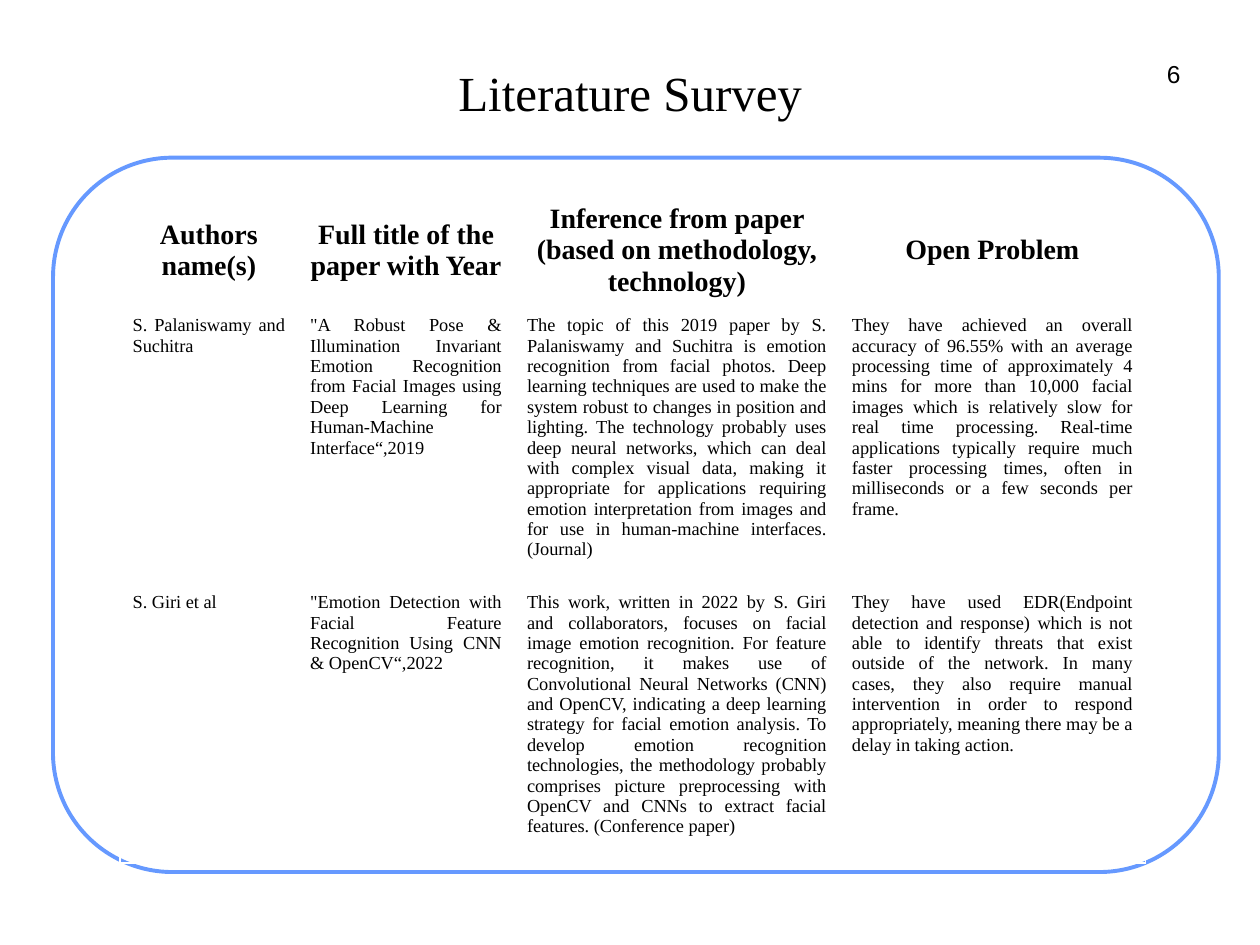
from dataclasses import dataclass

from pptx import Presentation
from pptx.dml.color import RGBColor
from pptx.enum.shapes import MSO_SHAPE
from pptx.enum.text import MSO_ANCHOR, MSO_AUTO_SIZE, PP_ALIGN
from pptx.util import Cm, Pt


@dataclass(frozen=True)
class Theme:
    serif: str = "Times New Roman"
    sans: str = "Arial"
    ink: RGBColor = RGBColor(0x00, 0x00, 0x00)
    paper: RGBColor = RGBColor(0xFF, 0xFF, 0xFF)
    frame: RGBColor = RGBColor(0x66, 0x99, 0xFF)
    title_size: float = 28
    heading_size: float = 16
    number_size: float = 14
    body_size: float = 10.5


@dataclass(frozen=True)
class Area:
    """Position and size in centimetres."""
    left: float
    top: float
    width: float
    height: float

    def lengths(self) -> tuple:
        return Cm(self.left), Cm(self.top), Cm(self.width), Cm(self.height)


@dataclass(frozen=True)
class Study:
    authors: str
    title: str
    inference: str
    problem: str

    def texts(self) -> list[str]:
        return [self.authors, self.title, self.inference, self.problem]


THEME = Theme()
COLUMN_WIDTHS = [3.58, 4.37, 6.55, 6.17]
ROW_HEIGHTS = [2.36, 5.08, 5.51]
HEADINGS = [
    "Authors name(s)",
    "Full title of the paper with Year",
    "Inference from paper (based on methodology, technology)",
    "Open Problem",
]
STUDIES = [
    Study(
        "S. Palaniswamy and Suchitra",
        '"A Robust Pose & Illumination Invariant Emotion Recognition from Facial '
        "Images using Deep Learning for Human-Machine Interface“,2019",
        "The topic of this 2019 paper by S. Palaniswamy and Suchitra is emotion "
        "recognition from facial photos. Deep learning techniques are used to make "
        "the system robust to changes in position and lighting. The technology "
        "probably uses deep neural networks, which can deal with complex visual "
        "data, making it appropriate for applications requiring emotion "
        "interpretation from images and for use in human-machine interfaces. "
        "(Journal)",
        "They have achieved an overall accuracy of 96.55% with an average "
        "processing time of approximately 4 mins for more than 10,000 facial images "
        "which is relatively slow for real time processing. Real-time applications "
        "typically require much faster processing times, often in milliseconds or a "
        "few seconds per frame.",
    ),
    Study(
        "S. Giri et al",
        '"Emotion Detection with Facial Feature Recognition Using CNN & '
        "OpenCV“,2022",
        "This work, written in 2022 by S. Giri and collaborators, focuses on facial "
        "image emotion recognition. For feature recognition, it makes use of "
        "Convolutional Neural Networks (CNN) and OpenCV, indicating a deep learning "
        "strategy for facial emotion analysis. To develop emotion recognition "
        "technologies, the methodology probably comprises picture preprocessing "
        "with OpenCV and CNNs to extract facial features. (Conference paper)",
        "They have used EDR(Endpoint detection and response) which is not able to "
        "identify threats that exist outside of the network. In many cases, they "
        "also require manual intervention in order to respond appropriately, "
        "meaning there may be a delay in taking action.",
    ),
]


def write_text(frame, text: str, size: float, align: PP_ALIGN,
               font: str = THEME.serif, bold: bool = False) -> None:
    frame.text = text
    para = frame.paragraphs[0]
    para.alignment = align
    for span in para.runs:
        span.font.name = font
        span.font.size = Pt(size)
        span.font.bold = bold
        span.font.color.rgb = THEME.ink


def set_margins(frame, margin: float = 0.13) -> None:
    frame.margin_left = frame.margin_right = Cm(margin)
    frame.margin_top = frame.margin_bottom = Cm(margin)


def add_panel(page, kind: MSO_SHAPE, area: Area):
    panel = page.shapes.add_shape(kind, *area.lengths())
    panel.shadow.inherit = False
    panel.fill.solid()
    panel.fill.fore_color.rgb = THEME.paper
    panel.line.fill.background()
    return panel


def add_title(page, text: str, area: Area) -> None:
    title = page.shapes.title
    title.left, title.top, title.width, title.height = area.lengths()
    frame = title.text_frame
    set_margins(frame)
    frame.auto_size = MSO_AUTO_SIZE.NONE
    frame.vertical_anchor = MSO_ANCHOR.MIDDLE
    write_text(frame, text, THEME.title_size, PP_ALIGN.CENTER)


def add_page_number(page, text: str, area: Area) -> None:
    frame = page.shapes.add_textbox(*area.lengths()).text_frame
    set_margins(frame)
    frame.word_wrap = True
    write_text(frame, text, THEME.number_size, PP_ALIGN.RIGHT, font=THEME.sans)


def add_survey_table(page, left: float, top: float) -> None:
    area = Area(left, top, sum(COLUMN_WIDTHS), sum(ROW_HEIGHTS))
    table = page.shapes.add_table(
        len(ROW_HEIGHTS), len(COLUMN_WIDTHS), *area.lengths()).table
    table.first_row = table.horz_banding = False
    for column, width in zip(table.columns, COLUMN_WIDTHS):
        column.width = Cm(width)
    rows = [HEADINGS] + [study.texts() for study in STUDIES]
    for row_index, texts in enumerate(rows):
        table.rows[row_index].height = Cm(ROW_HEIGHTS[row_index])
        for column_index, text in enumerate(texts):
            cell = table.cell(row_index, column_index)
            cell.fill.background()
            if row_index == 0:
                cell.vertical_anchor = MSO_ANCHOR.MIDDLE
                write_text(cell.text_frame, text, THEME.heading_size,
                           PP_ALIGN.CENTER, bold=True)
            else:
                write_text(cell.text_frame, text, THEME.body_size, PP_ALIGN.JUSTIFY)


def main() -> None:
    deck = Presentation()
    deck.slide_width, deck.slide_height = Cm(25.4), Cm(19.05)
    page = deck.slides.add_slide(deck.slide_layouts.get_by_name("Title Only"))

    # Rounded frame
    frame = add_panel(page, MSO_SHAPE.ROUNDED_RECTANGLE, Area(1.07, 3.18, 23.5, 14.4))
    frame.adjustments[0] = 0.167
    frame.line.color.rgb = THEME.frame
    frame.line.width = Pt(2.25)

    # Page number and title
    add_page_number(page, "6", Area(23.09, 1.07, 0.84, 0.81))
    add_title(page, "Literature Survey", Area(3.18, 0.74, 19.05, 2.24))

    # Survey table on its white panel
    add_panel(page, MSO_SHAPE.RECTANGLE, Area(1.9, 6.25, 21.6, 10.6))
    add_survey_table(page, left=2.42, top=3.87)

    deck.save("out.pptx")


if __name__ == "__main__":
    main()
